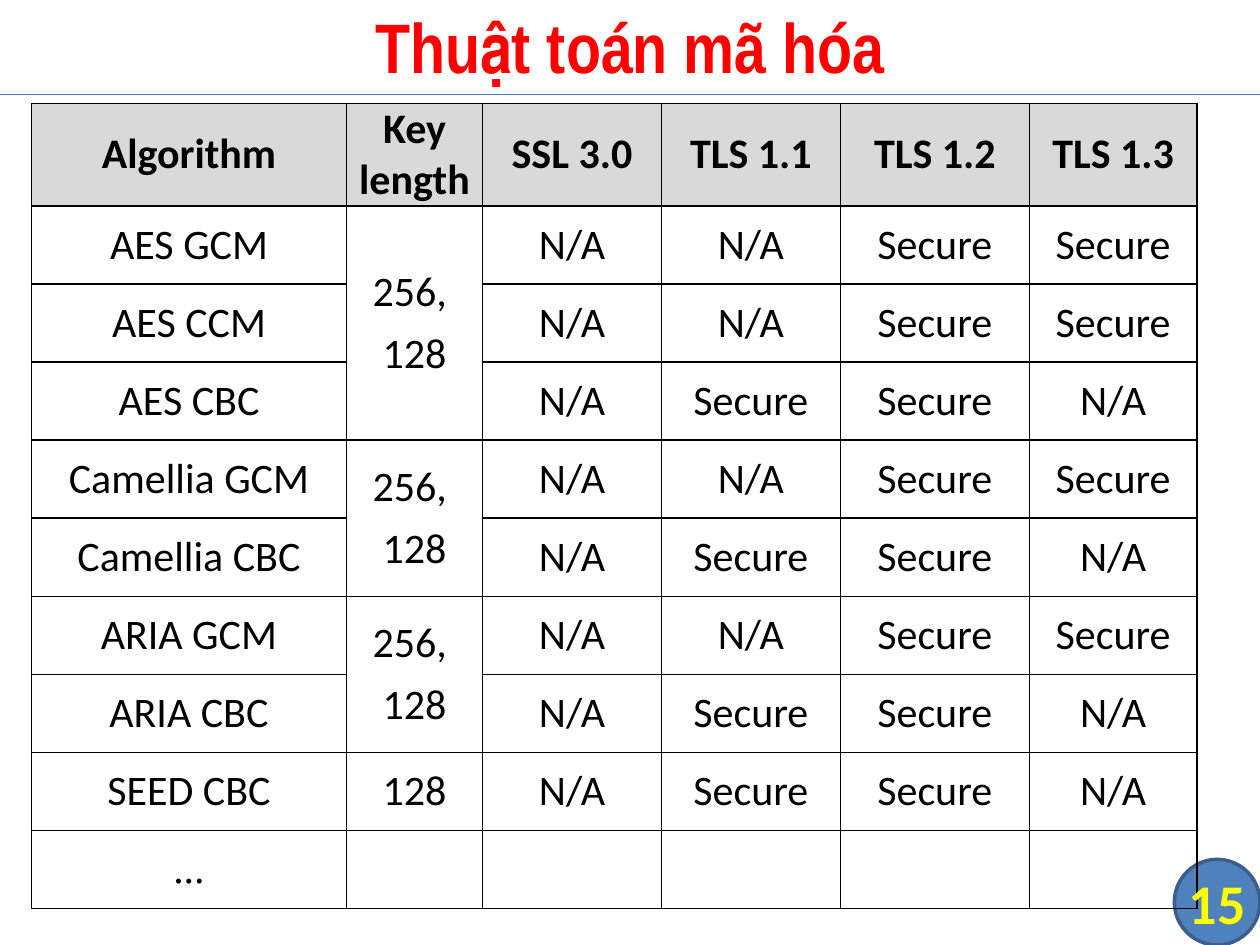
from lxml import etree
from pptx import Presentation, util as u
from pptx.dml.color import RGBColor
from pptx.enum import shapes, text
from pptx.oxml import ns

WIDTH, HEIGHT = 10, 7.5
COLUMNS = [2.5, 1.08, 1.42, 1.42, 1.5, 1.33]
ROW_HEIGHT = 0.62
HEADER = ["Algorithm", "Key\nlength", "SSL 3.0", "TLS 1.1", "TLS 1.2", "TLS 1.3"]
GCM = ["N/A", "N/A", "Secure", "Secure"]
CBC = ["N/A", "Secure", "Secure", "N/A"]
BOTH_KEYS = ["256, ", "128"]
GROUPS = [
    (BOTH_KEYS, [("AES GCM", GCM), ("AES CCM", GCM), ("AES CBC", CBC)]),
    (BOTH_KEYS, [("Camellia GCM", GCM), ("Camellia CBC", CBC)]),
    (BOTH_KEYS, [("ARIA GCM", GCM), ("ARIA CBC", CBC)]),
    (["128"], [("SEED CBC", CBC)]),
]


def color(value):
    """Turn a hex string into a colour."""
    return RGBColor.from_string(value)


def write(frame, lines, size, font="Calibri", tint="000000", bold=False, gap=0):
    """Write centred paragraphs, breaking lines at each newline."""
    for index, line in enumerate(lines):
        para = frame.paragraphs[0] if index == 0 else frame.add_paragraph()
        para.alignment = text.PP_ALIGN.CENTER
        para.space_before = para.space_after = u.Pt(gap)
        for part, words in enumerate(line.split("\n")):
            if part:
                para.add_line_break()
            span = para.add_run()
            span.text = words
            span.font.size, span.font.name = u.Pt(size), font
            span.font.bold = bold
            span.font.color.rgb = color(tint)


def add_label(page, words, left, top, width, height, **style):
    """Add a text box with vertically centred text."""
    box = page.shapes.add_textbox(*map(u.Inches, (left, top, width, height)))
    frame = box.text_frame
    frame.word_wrap = True
    frame.vertical_anchor = text.MSO_ANCHOR.MIDDLE
    frame.margin_left = frame.margin_right = 0
    frame.margin_top = frame.margin_bottom = 0
    write(frame, [words], bold=True, **style)


def add_rule(page, top):
    """Draw the thin line across the page below the title."""
    rule = page.shapes.add_connector(
        shapes.MSO_CONNECTOR.STRAIGHT, 0, u.Inches(top), u.Inches(WIDTH), u.Inches(top))
    rule.line.color.rgb = color("4B7EBC")
    rule.line.width = u.Pt(0.75)
    etree.SubElement(rule.element.spPr, ns.qn("a:effectLst"))


def add_disc(page, size):
    """Draw the page number disc in the bottom right corner."""
    disc = page.shapes.add_shape(
        shapes.MSO_SHAPE.FLOWCHART_CONNECTOR,
        *map(u.Inches, (WIDTH - size, HEIGHT - size, size, size)))
    disc.shadow.inherit = False
    disc.fill.solid()
    disc.fill.fore_color.rgb = color("4F81BD")
    disc.line.color.rgb = color("3A5F8C")
    disc.line.width = u.Pt(2)


def style_cell(cell, fill=None):
    """Give a cell its black borders, insets and fill."""
    cell.vertical_anchor = text.MSO_ANCHOR.MIDDLE
    cell.margin_left = cell.margin_right = u.Inches(0.07)
    cell.margin_top = cell.margin_bottom = 0
    properties = cell._tc.get_or_add_tcPr()
    for side in ("lnL", "lnR", "lnT", "lnB"):
        border = etree.SubElement(properties, ns.qn(f"a:{side}"), w=str(u.Pt(1)))
        paint = etree.SubElement(border, ns.qn("a:solidFill"))
        etree.SubElement(paint, ns.qn("a:srgbClr"), val="000000")
    if fill:
        cell.fill.solid()
        cell.fill.fore_color.rgb = color(fill)
    else:
        cell.fill.background()


def add_cipher_table(page):
    """Build the table of ciphers, one merged key cell per family."""
    row_count = 2 + sum(len(ciphers) for _, ciphers in GROUPS)
    table = page.shapes.add_table(
        row_count, len(COLUMNS), u.Inches(0.25), u.Inches(0.82),
        u.Inches(sum(COLUMNS)), u.Inches(ROW_HEIGHT * row_count)).table
    table.first_row = table.horz_banding = False
    for column, width in zip(table.columns, COLUMNS):
        column.width = u.Inches(width)
    for index, row in enumerate(table.rows):
        row.height = u.Inches(ROW_HEIGHT)
        for cell in row.cells:
            style_cell(cell, "D9D9D9" if index == 0 else None)

    def put(row, column, lines, **style):
        """Write one cell of the table."""
        write(table.cell(row, column).text_frame, lines, 24, gap=3, **style)

    for column, heading in enumerate(HEADER):
        put(0, column, [heading], bold=True)
    row = 1
    for keys, ciphers in GROUPS:
        if len(ciphers) > 1:
            table.cell(row, 1).merge(table.cell(row + len(ciphers) - 1, 1))
        put(row, 1, keys)
        for name, ratings in ciphers:
            put(row, 0, [name])
            for column, rating in enumerate(ratings, 2):
                put(row, column, [rating])
            row += 1
    put(row, 0, ["..."], font="Times New Roman")


def main():
    """Build the slide and save the deck."""
    deck = Presentation()
    deck.slide_width, deck.slide_height = u.Inches(WIDTH), u.Inches(HEIGHT)
    page = deck.slides.add_slide(deck.slide_layouts[6])
    disc = 0.68
    add_disc(page, disc)
    add_rule(page, HEIGHT / 10)
    add_cipher_table(page)
    add_label(page, "Thuật toán mã hóa", 0, -0.03, WIDTH, 0.78,
              size=40, font="Arial Narrow", tint="FF0000")
    add_label(page, "15", WIDTH - disc, HEIGHT - disc, disc, disc, size=32, tint="FFFF00")
    deck.save("out.pptx")


if __name__ == "__main__":
    main()
